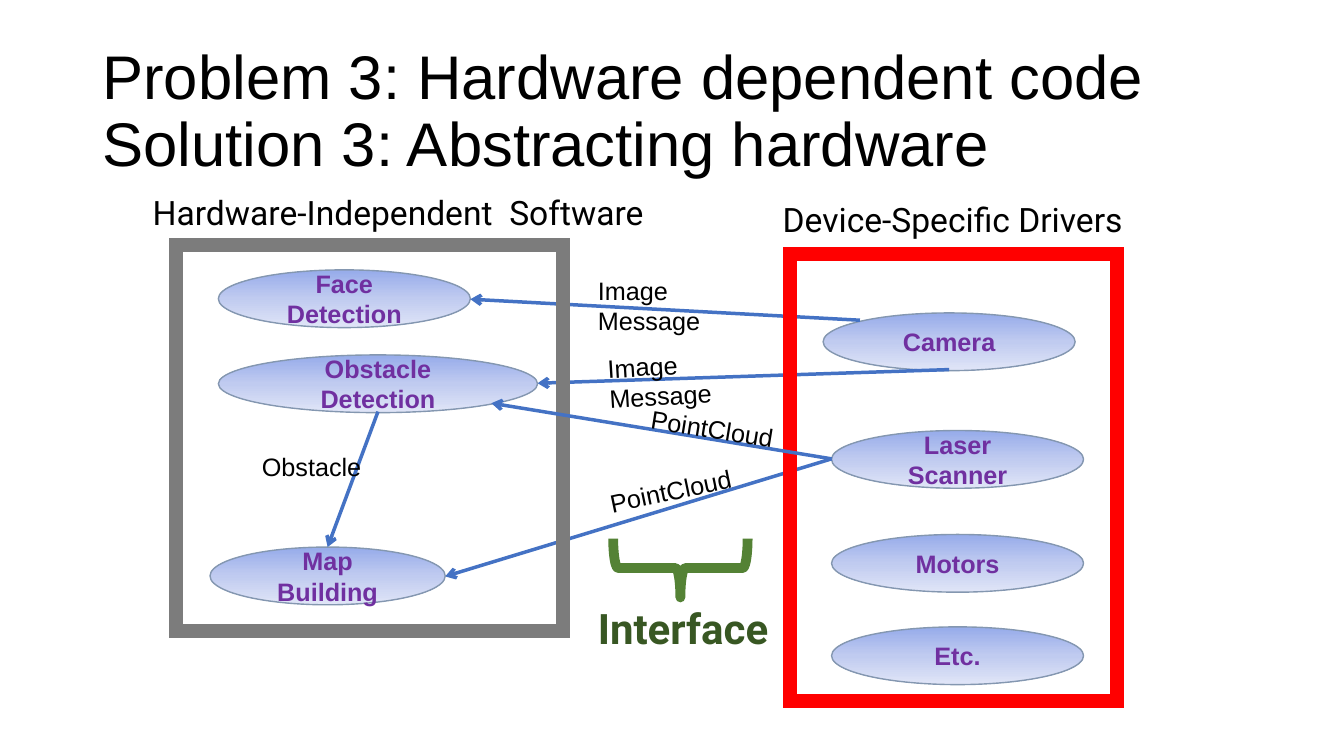
"""Build a slide on separating hardware-independent software from device drivers."""
from copy import deepcopy

from pptx import Presentation
from pptx import util as u
from pptx.dml.color import RGBColor
from pptx.enum import shapes, text
from pptx.oxml import ns, xmlchemy

BLACK = RGBColor(0x00, 0x00, 0x00)
PURPLE = RGBColor(0x70, 0x30, 0xA0)
BLUE = RGBColor(0x44, 0x72, 0xC4)
SLATE = RGBColor(0x84, 0x97, 0xB0)
RED = RGBColor(0xFF, 0x00, 0x00)
GREY = RGBColor(0x7C, 0x7C, 0x7C)
GREEN = RGBColor(0x54, 0x82, 0x35)
DARK_GREEN = RGBColor(0x38, 0x57, 0x23)
NODE_TOP = RGBColor(0x96, 0xAB, 0xEA)
NODE_MIDDLE = RGBColor(0xC0, 0xCB, 0xF0)
NODE_BOTTOM = RGBColor(0xE0, 0xE5, 0xF7)

PX = 9525
NODE_H = 55
MESSAGE = dict(name="Arial", size=u.Pt(18), bold=False)
HEADING = dict(name="Roboto", size=u.Pt(24), bold=False)
INTERFACE = dict(name="Roboto", size=u.Pt(30), bold=True)
NODE = dict(name="Arial", size=u.Pt(18), bold=True)
TITLE = dict(name="Arial", size=u.Pt(44), bold=False)


class Diagram:
    def __init__(self, prs):
        self.s = prs.slides.add_slide(prs.slide_layouts[5])

    def set_text(self, sp, words, style, color, align, **frame):
        tf = sp.text_frame
        for key, value in dict(word_wrap=True, **frame).items():
            setattr(tf, key, value)
        tf.text = words
        p = tf.paragraphs[0]
        p.alignment = align
        for r in p.runs:
            for key, value in style.items():
                setattr(r.font, key, value)
            r.font.color.rgb = color
        return p

    def title(self, words, *box):
        sp = self.s.shapes.title
        for key, value in zip(("left", "top", "width", "height"), box):
            setattr(sp, key, value * PX)
        p = self.set_text(sp, words, TITLE, BLACK, text.PP_ALIGN.LEFT,
                          auto_size=text.MSO_AUTO_SIZE.NONE,
                          vertical_anchor=text.MSO_ANCHOR.MIDDLE)
        p.line_spacing = 0.9

    def label(self, words, x, y, w, h, style=MESSAGE, color=BLACK, rotation=0):
        sp = self.s.shapes.add_textbox(x * PX, y * PX, w * PX, h * PX)
        sp.rotation = rotation
        self.set_text(sp, words, style, color, text.PP_ALIGN.LEFT,
                      auto_size=text.MSO_AUTO_SIZE.SHAPE_TO_FIT_TEXT)

    def outline(self, kind, x, y, w, h, color, points):
        sp = self.s.shapes.add_shape(kind, x * PX, y * PX, w * PX, h * PX)
        sp.shadow.inherit = False
        sp.fill.background()
        sp.line.color.rgb = color
        sp.line.width = u.Pt(points)
        return sp

    def frame(self, x, y, w, h, color):
        sp = self.outline(shapes.MSO_SHAPE.RECTANGLE, x, y, w, h, color, 10)
        miter = xmlchemy.OxmlElement("a:miter")
        miter.set("lim", "800000")
        sp.line._get_or_add_ln().append(miter)

    def brace(self, x, y, w, h):
        sp = self.outline(shapes.MSO_SHAPE.LEFT_BRACE, x, y, w, h, GREEN, 7)
        sp.rotation = 270

    def node(self, words, x, y, w=240):
        sp = self.outline(shapes.MSO_SHAPE.OVAL, x, y, w, NODE_H, SLATE, 1)
        sp.fill.gradient()
        sp.fill.gradient_angle = 270
        first, last = sp.fill.gradient_stops
        first.color.rgb, first.position = NODE_TOP, 0
        last.color.rgb, last.position = NODE_BOTTOM, 1
        stops = sp._element.spPr.find(".//" + ns.qn("a:gsLst"))
        stops.insert(1, deepcopy(stops[0]))
        middle = sp.fill.gradient_stops[1]
        middle.color.rgb, middle.position = NODE_MIDDLE, 0.5
        self.set_text(sp, words, NODE, PURPLE, text.PP_ALIGN.CENTER,
                      auto_size=text.MSO_AUTO_SIZE.NONE,
                      vertical_anchor=text.MSO_ANCHOR.MIDDLE)

    def arrow(self, *ends):
        cx = self.s.shapes.add_connector(shapes.MSO_CONNECTOR.STRAIGHT,
                                         *(v * PX for v in ends))
        cx.line.color.rgb = BLUE
        cx.line.width = u.Pt(2.5)
        tail = xmlchemy.OxmlElement("a:tailEnd")
        tail.set("type", "arrow")
        cx.line._get_or_add_ln().append(tail)
        cx._element.spPr.append(xmlchemy.OxmlElement("a:effectLst"))


def main():
    prs = Presentation()
    prs.slide_width, prs.slide_height = 1280 * PX, 720 * PX
    d = Diagram(prs)
    d.title("Problem 3: Hardware dependent code\vSolution 3: Abstracting hardware",
            88, 38, 1104, 139)

    d.node("Camera", 784, 298)
    d.node("Face Detection", 208, 257)
    d.arrow(819, 305, 448, 285)
    d.arrow(904, 352, 512, 365)
    d.node("Obstacle Detection", 208, 338, 304)
    d.label("Image Message", 569, 327, 176, 38, rotation=356.4)
    d.node("Laser Scanner", 792, 410)
    d.label("PointCloud", 570, 444, 176, 38, rotation=348.2)
    d.arrow(792, 437, 424, 549)
    d.node("Map Building", 200, 521, 224)
    d.arrow(360, 392, 312, 521)
    d.label("Obstacle", 240, 425, 169, 38)
    d.label("Image Message", 560, 257, 176, 38)

    d.frame(752, 242, 312, 426, RED)
    d.frame(168, 233, 368, 368, GREY)
    d.label("Hardware-Independent  Software", 136, 178, 560, 48, HEADING)
    d.label("Device-Specific Drivers", 736, 185, 353, 48, HEADING)
    d.brace(620, 477, 56, 128)
    d.label("Interface", 560, 569, 200, 59, INTERFACE, DARK_GREEN)

    d.arrow(792, 437, 468, 384)
    d.label("PointCloud", 610, 392, 176, 38, rotation=9.2)
    d.node("Motors", 792, 509)
    d.node("Etc.", 792, 597)
    prs.save("out.pptx")


if __name__ == "__main__":
    main()
